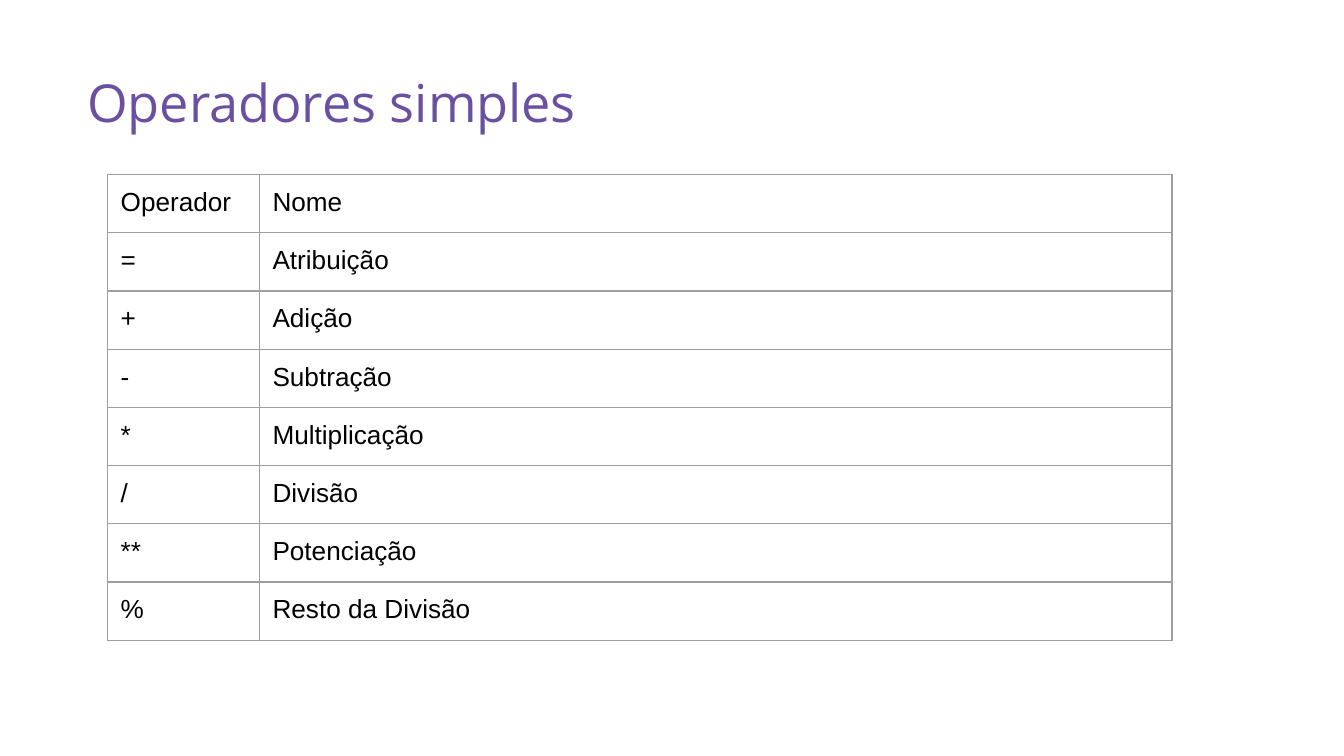
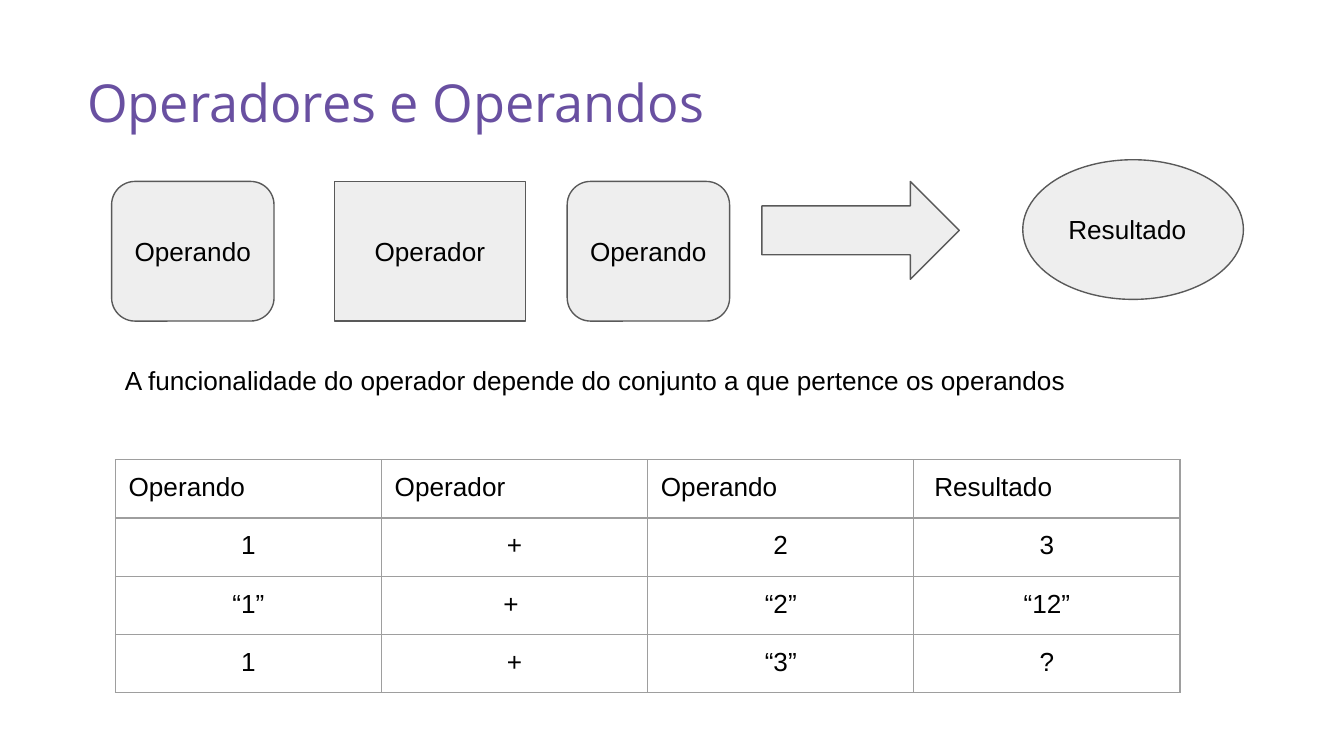
from dataclasses import dataclass

from lxml import etree
from pptx import Presentation
from pptx.dml.color import RGBColor
from pptx.enum.shapes import MSO_SHAPE
from pptx.enum.text import MSO_ANCHOR, MSO_AUTO_SIZE, PP_ALIGN
from pptx.oxml.ns import qn
from pptx.slide import Slide
from pptx.table import _Cell
from pptx.text.text import TextFrame
from pptx.util import Cm, Pt

LEFT, CENTER = PP_ALIGN.LEFT, PP_ALIGN.CENTER
TOP, MIDDLE = MSO_ANCHOR.TOP, MSO_ANCHOR.MIDDLE
GROW = MSO_AUTO_SIZE.SHAPE_TO_FIT_TEXT
ARROW, RECT = MSO_SHAPE.RIGHT_ARROW, MSO_SHAPE.RECTANGLE
ROUNDED, OVAL = MSO_SHAPE.ROUNDED_RECTANGLE, MSO_SHAPE.OVAL

COLORS = {
    "title": "6950A1",
    "text": "000000",
    "fill": "EEEEEE",
    "outline": "595959",
    "border": "9E9E9E",
}
TITLE_FONT, BODY_FONT = "Open Sans", "Arial"
TITLE_SIZE, BODY_SIZE = 28, 14
LINE_WIDTH = Pt(0.75)
INSET = Cm(0.25)
ROW_HEIGHT = 1.1
FLOW_TOP, FLOW_HEIGHT = 3.43, 2.64


@dataclass
class Box:
    """Position and size in centimetres."""
    left: float
    top: float
    width: float
    height: float

    def lengths(self) -> tuple[Cm, Cm, Cm, Cm]:
        """Return the four values as lengths."""
        return Cm(self.left), Cm(self.top), Cm(self.width), Cm(self.height)


@dataclass
class FlowShape:
    """One shape of the operand diagram."""
    kind: MSO_SHAPE
    box: Box
    text: str = ""
    align: PP_ALIGN = CENTER


TITLE_BOX = Box(1.4, 1.07, 22.89, 1.7)
NOTE_BOX = Box(2.11, 6.63, 19.33, 1.12)

OPERATORS = [
    ("Operador", "Nome"),
    ("=", "Atribuição"),
    ("+", "Adição"),
    ("-", "Subtração"),
    ("*", "Multiplicação"),
    ("/", "Divisão"),
    ("**", "Potenciação"),
    ("%", "Resto da Divisão"),
]
EXAMPLES = [
    ("Operando", "Operador", "Operando", " Resultado"),
    ("1", "+", "2", "3"),
    ("“1”", "+ ", "“2”", "“12”"),
    ("1", "+", "“3”", "?"),
]
FLOW = [
    FlowShape(ARROW, Box(14.4, FLOW_TOP, 3.73, 1.85)),
    FlowShape(RECT, Box(6.32, FLOW_TOP, 3.61, FLOW_HEIGHT), "Operador"),
    FlowShape(ROUNDED, Box(2.11, FLOW_TOP, 3.07, FLOW_HEIGHT), "Operando"),
    FlowShape(ROUNDED, Box(10.72, FLOW_TOP, 3.07, FLOW_HEIGHT), "Operando"),
    FlowShape(OVAL, Box(19.33, 3.02, 4.17, FLOW_HEIGHT), "Resultado", LEFT),
]


def rgb(name: str) -> RGBColor:
    """Look up a named colour."""
    return RGBColor.from_string(COLORS[name])


def write(tf: TextFrame, text: str, align: PP_ALIGN = LEFT, font: str = BODY_FONT,
          size: float = BODY_SIZE, color: str = "text") -> None:
    """Set the text of a frame and format it."""
    tf.text = text
    for p in tf.paragraphs:
        p.alignment = align
        for r in p.runs:
            r.font.name = font
            r.font.size = Pt(size)
            r.font.color.rgb = rgb(color)


def set_insets(target: TextFrame | _Cell) -> None:
    """Give a frame or cell the common inner margin."""
    target.margin_left = target.margin_right = INSET
    target.margin_top = target.margin_bottom = INSET


def add_text(s: Slide, box: Box, text: str, font: str = BODY_FONT,
             size: float = BODY_SIZE, color: str = "text") -> None:
    """Add a wrapping text box that grows with its text."""
    tf = s.shapes.add_textbox(*box.lengths()).text_frame
    tf.word_wrap = True
    tf.auto_size = GROW
    set_insets(tf)
    write(tf, text, font=font, size=size, color=color)


def add_flow_shape(s: Slide, item: FlowShape) -> None:
    """Draw one outlined grey shape with its label."""
    sp = s.shapes.add_shape(item.kind, *item.box.lengths())
    sp.shadow.inherit = False
    sp.fill.solid()
    sp.fill.fore_color.rgb = rgb("fill")
    sp.line.color.rgb = rgb("outline")
    sp.line.width = LINE_WIDTH
    if item.text:
        tf = sp.text_frame
        tf.word_wrap = True
        tf.vertical_anchor = MIDDLE
        set_insets(tf)
        write(tf, item.text, item.align)


def set_borders(cell: _Cell) -> None:
    """Draw a thin line on all four sides of a cell."""
    props = cell._tc.get_or_add_tcPr()
    for side in ("a:lnL", "a:lnR", "a:lnT", "a:lnB"):
        ln = etree.SubElement(props, qn(side), w=str(int(LINE_WIDTH)))
        fill = etree.SubElement(ln, qn("a:solidFill"))
        etree.SubElement(fill, qn("a:srgbClr"), val=COLORS["border"])


def add_grid(s: Slide, left: float, top: float, widths: list[float],
             rows: list[tuple[str, ...]], body_align: PP_ALIGN = LEFT) -> None:
    """Add a plain bordered table; the header row is left-aligned."""
    box = Box(left, top, sum(widths), ROW_HEIGHT * len(rows))
    table = s.shapes.add_table(len(rows), len(widths), *box.lengths()).table
    table.first_row = table.horz_banding = False
    for column, width in zip(table.columns, widths):
        column.width = Cm(width)
    for i, row in enumerate(rows):
        table.rows[i].height = Cm(ROW_HEIGHT)
        for j, text in enumerate(row):
            cell = table.cell(i, j)
            set_borders(cell)
            cell.fill.background()
            cell.vertical_anchor = TOP
            set_insets(cell)
            write(cell.text_frame, text, body_align if i else LEFT)


def new_slide(prs: Presentation, title: str) -> Slide:
    """Add a blank slide with the shared title style."""
    s = prs.slides.add_slide(prs.slide_layouts[6])
    add_text(s, TITLE_BOX, title, TITLE_FONT, TITLE_SIZE, "title")
    return s


def build_operators(prs: Presentation) -> None:
    """Build the list of simple operators."""
    s = new_slide(prs, "Operadores simples")
    add_grid(s, 2.03, 3.3, [2.87, 17.25], OPERATORS)


def build_operands(prs: Presentation) -> None:
    """Build the operand diagram with its examples."""
    s = new_slide(prs, "Operadores e Operandos")
    for item in FLOW:
        add_flow_shape(s, item)
    add_grid(s, 2.18, 8.69, [5.03] * 4, EXAMPLES, CENTER)
    add_text(s, NOTE_BOX, "A funcionalidade do operador depende do conjunto "
                          "a que pertence os operandos")


def main() -> None:
    """Create and save the presentation."""
    prs = Presentation()
    prs.slide_width, prs.slide_height = Cm(25.4), Cm(14.29)
    build_operators(prs)
    build_operands(prs)
    prs.save("out.pptx")


main()
